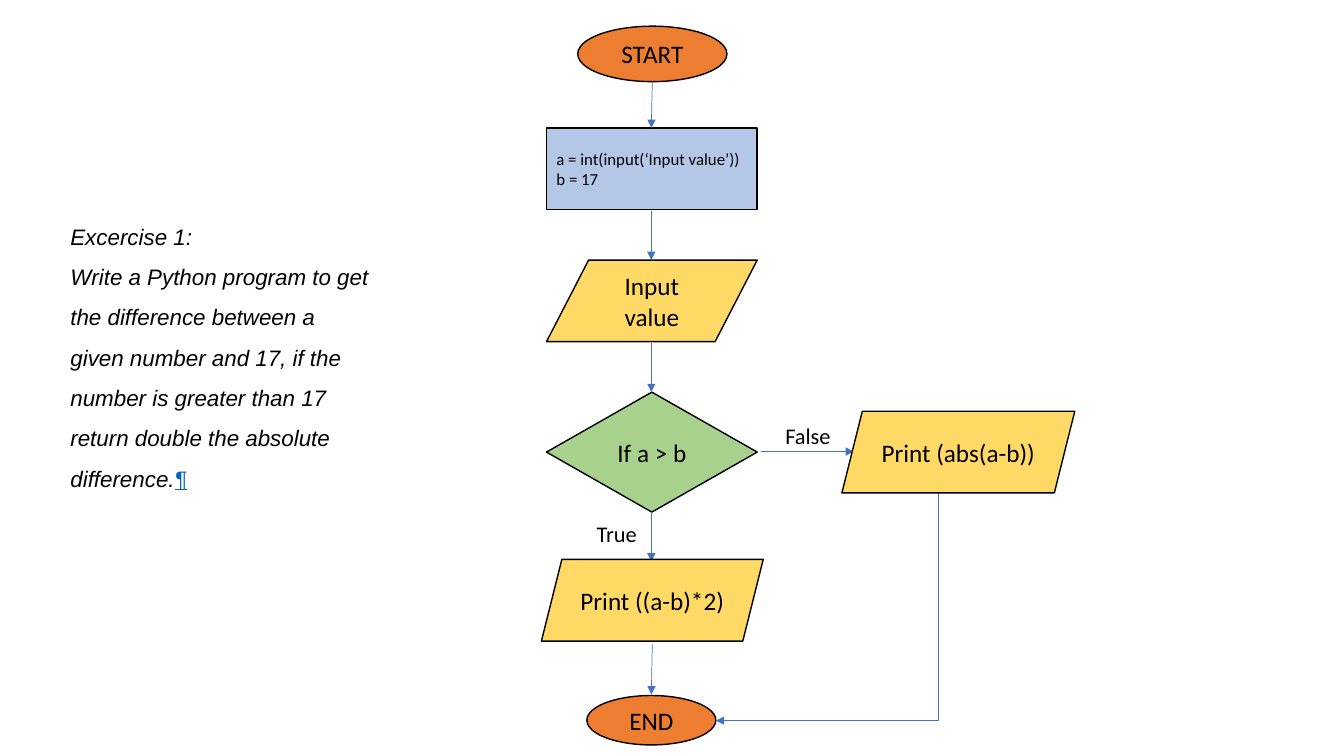
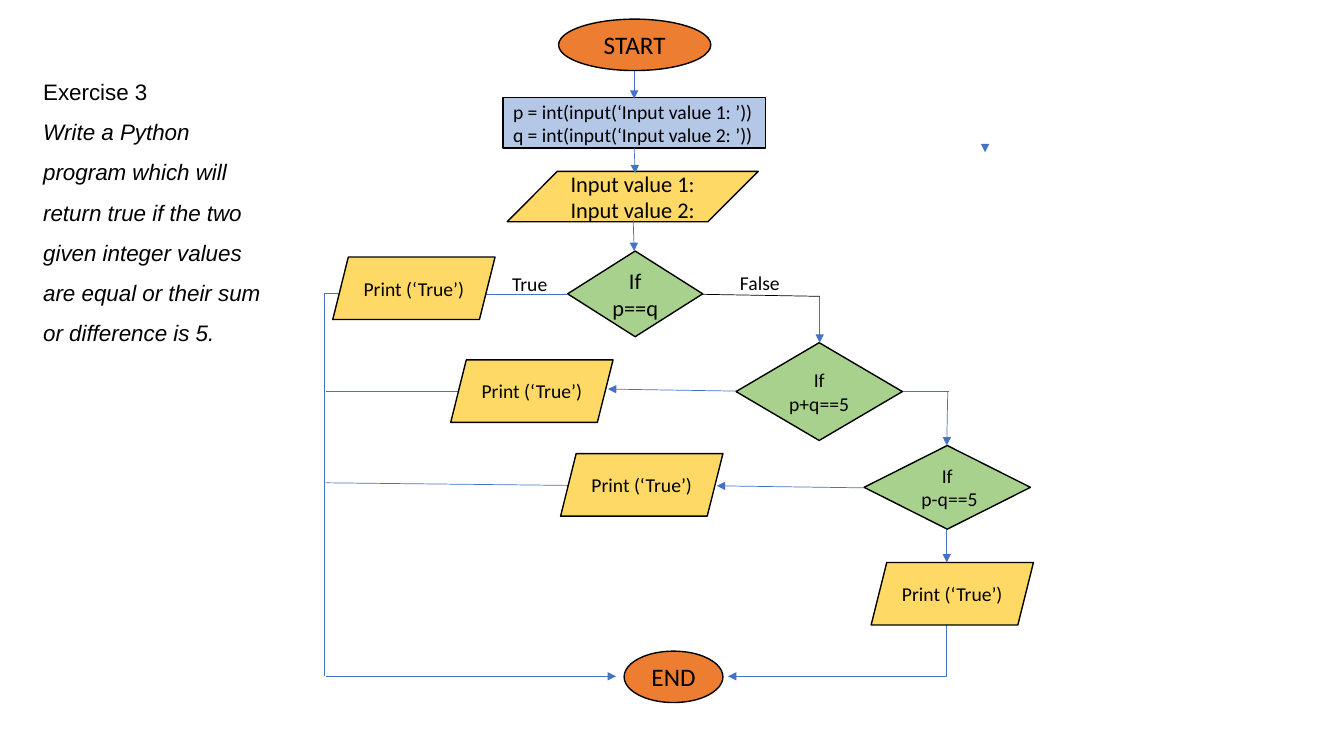
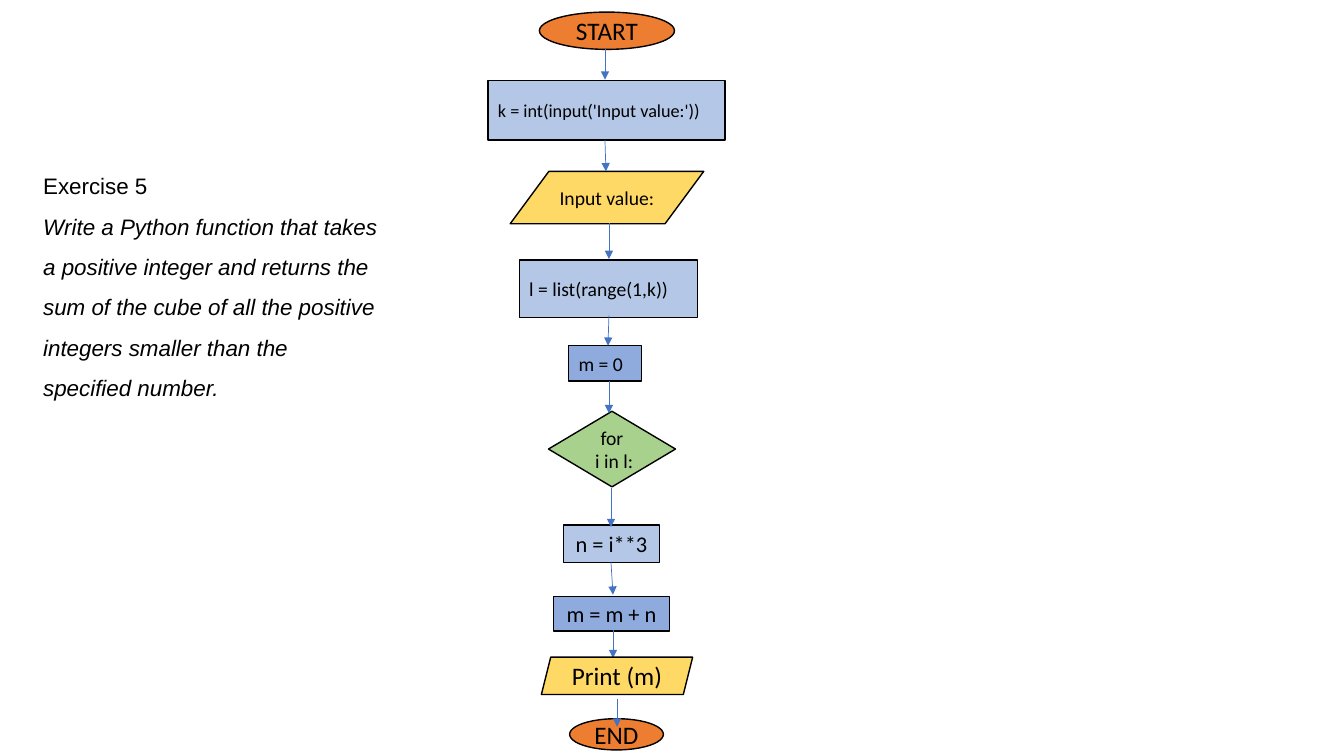
from lxml.etree import SubElement
from pptx import Presentation
from pptx.dml.color import RGBColor
from pptx.enum.shapes import MSO_CONNECTOR, MSO_SHAPE
from pptx.enum.text import MSO_ANCHOR, MSO_AUTO_SIZE, PP_ALIGN
from pptx.oxml.ns import qn
from pptx.util import Inches, Pt

COLORS = {
    "ink": "000000", "arrow": "4472C4", "mark": "0563C1",
    "end": "ED7D31", "code": "B4C7E7", "sum": "8FAADC",
    "data": "FFD966", "test": "A9D18E",
}
# Kind of step: preset shape and fill
KINDS = {
    "end": (MSO_SHAPE.OVAL, "end"),
    "code": (MSO_SHAPE.RECTANGLE, "code"),
    "sum": (MSO_SHAPE.RECTANGLE, "sum"),
    "input": (MSO_SHAPE.FLOWCHART_DATA, "data"),
    "print": (MSO_SHAPE.PARALLELOGRAM, "data"),
    "test": (MSO_SHAPE.DIAMOND, "test"),
}


def rgb(name):
    return RGBColor.from_string(COLORS[name])


def style(para, size, font="Calibri"):
    para.font.name = font
    para.font.size = Pt(size)
    para.font.color.rgb = rgb("ink")


def add_step(slide, box, kind, text, x, y, w, h, size, align=PP_ALIGN.CENTER):
    """One flowchart step, placed from the corner of the box."""
    preset, fill = KINDS[kind]
    step = slide.shapes.add_shape(
        preset, Inches(box[0] + x), Inches(box[1] + y), Inches(w), Inches(h))
    step.shadow.inherit = False
    step.fill.solid()
    step.fill.fore_color.rgb = rgb(fill)
    step.line.color.rgb = rgb("ink")
    step.line.width = Pt(1)
    frame = step.text_frame
    frame.word_wrap = True
    frame.vertical_anchor = MSO_ANCHOR.MIDDLE
    frame.text = text
    for para in frame.paragraphs:
        para.alignment = align
        style(para, size)


def add_link(slide, box, points, head=True, color="arrow"):
    """A straight line, or a bent one when there are more than two points."""
    points = [(Inches(box[0] + x), Inches(box[1] + y)) for x, y in points]
    if len(points) == 2:
        link = slide.shapes.add_connector(
            MSO_CONNECTOR.STRAIGHT, *points[0], *points[1])
    else:
        path = slide.shapes.build_freeform(*points[0], scale=1.0)
        path.add_line_segments(points[1:], close=False)
        link = path.convert_to_shape()
        link.fill.background()
    link.line.color.rgb = rgb(color)
    link.line.width = Pt(0.5)
    props = link._element.spPr
    if head:
        SubElement(props.find(qn("a:ln")), qn("a:tailEnd"), type="triangle")
    SubElement(props, qn("a:effectLst"))


def add_text(slide, x, y, w, h):
    label = slide.shapes.add_textbox(Inches(x), Inches(y), Inches(w), Inches(h))
    frame = label.text_frame
    frame.word_wrap = True
    frame.auto_size = MSO_AUTO_SIZE.SHAPE_TO_FIT_TEXT
    return frame


def add_label(slide, box, text, x, y, w, h, size):
    frame = add_text(slide, box[0] + x, box[1] + y, w, h)
    frame.text = text
    style(frame.paragraphs[0], size)


def add_task(slide, box, head, text, slant=False):
    """The exercise text on the left."""
    frame = add_text(slide, *box)
    frame.text = head + "\n" + text
    for para, italic in zip(frame.paragraphs, (slant, True)):
        para.line_spacing = 1.5
        style(para, 16, "Arial")
        para.font.italic = italic
    return frame


def flow_double(slide, box):
    """Difference from 17, with one test."""
    for step in (
        ("end", "START", 0.73, 0.26, 1.48, 0.55, 18),
        ("code", "a = int(input(‘Input value’))\nb = 17",
         0.42, 1.27, 2.09, 0.81, 12, PP_ALIGN.LEFT),
        ("input", "Input value", 0.42, 2.58, 2.09, 0.81, 18),
        ("test", "If a > b", 0.42, 3.89, 2.09, 1.19, 18),
        ("end", "END", 0.82, 6.9, 1.28, 0.49, 18),
    ):
        add_step(slide, box, *step)
    # Arrows down the main column
    for x, top, low in ((1.47, 0.81, 1.27), (1.46, 2.09, 2.58),
                        (1.46, 3.4, 3.89), (1.46, 5.08, 5.57),
                        (1.47, 6.39, 6.89)):
        add_link(slide, box, [(x, top), (1.46, low)])
    # False branch
    add_link(slide, box, [(2.55, 4.48), (3.47, 4.48)])
    add_link(slide, box, [(4.31, 4.89), (4.31, 7.15), (2.1, 7.15)])
    add_label(slide, box, "False", 2.69, 4.14, 0.76, 0.37, 16)
    add_label(slide, box, "True", 0.82, 5.11, 0.72, 0.37, 16)
    add_step(slide, box, "print", "Print (abs(a-b))", 3.35, 4.08, 2.31, 0.81, 18)
    add_step(slide, box, "print", "Print ((a-b)*2)", 0.37, 5.55, 2.2, 0.81, 18)


def flow_five(slide, box):
    """Equal, or sum or difference of five, with three tests."""
    for step in (
        ("end", "START", 2.54, 0.19, 1.51, 0.51, 18),
        ("code", "p = int(input(‘Input value 1: ’))\n"
         "q = int(input(‘Input value 2: ’))",
         1.99, 0.97, 2.6, 0.5, 14, PP_ALIGN.LEFT),
        ("input", "Input value 1:\nInput value 2:", 2.03, 1.7, 2.49, 0.5, 16),
        ("test", "If p==q", 2.63, 2.49, 1.34, 0.85, 16),
        ("test", "If p+q==5", 4.3, 3.4, 1.65, 0.97, 14),
        ("test", "If\n p-q==5", 5.57, 4.42, 1.65, 0.83, 14),
        ("end", "END", 3.19, 6.46, 0.98, 0.51, 18),
    ):
        add_step(slide, box, *step)
    # Arrows
    for points in (
        [(3.29, 0.7), (3.29, 0.98)],
        [(3.29, 1.47), (3.3, 1.72)],
        [(3.28, 2.18), (3.29, 2.49)],
        [(5.13, 2.94), (5.13, 3.4)],
        [(6.4, 3.88), (6.39, 4.42)],
        [(6.39, 5.26), (6.39, 5.58)],
        [(4.3, 3.88), (3.03, 3.86)],
        [(5.57, 4.84), (4.11, 4.82)],
        [(6.77, 1.47), (6.77, 1.51)],
        [(6.39, 6.08), (6.39, 6.71), (4.22, 6.71)],
        [(0.23, 6.71), (3.11, 6.71)],
    ):
        add_link(slide, box, points)
    # Plain lines
    for points in (
        [(5.96, 3.88), (6.41, 3.88)],
        [(2.63, 2.92), (1.54, 2.92)],
        [(1.94, 3.88), (0.23, 3.88)],
        [(3.02, 4.82), (0.23, 4.79)],
        [(0.44, 2.91), (0.22, 2.91), (0.22, 6.71)],
    ):
        add_link(slide, box, points, head=False)
    add_link(slide, box, [(3.96, 2.92), (5.13, 2.94)], head=False, color="ink")
    add_label(slide, box, "False", 4.24, 2.64, 0.84, 0.34, 14)
    add_label(slide, box, "True", 1.98, 2.65, 0.62, 0.34, 14)
    # Results
    for x, y in ((0.3, 2.55), (1.47, 3.57), (2.56, 4.5), (5.64, 5.58)):
        add_step(slide, box, "print", "Print (‘True’)", x, y, 1.61, 0.62, 14)


def flow_cubes(slide, box):
    """Sum of cubes, in one column."""
    left = PP_ALIGN.LEFT
    for step in (
        ("end", "START", 0.35, 0.12, 1.34, 0.37, 18),
        ("code", "k = int(input('Input value:'))",
         -0.16, 0.8, 2.35, 0.59, 13, left),
        ("input", "Input value:", 0.06, 1.7, 1.92, 0.52, 14),
        ("code", "l = list(range(1,k))", 0.15, 2.58, 1.77, 0.57, 14, left),
        ("sum", "m = 0", 0.64, 3.43, 0.72, 0.35, 14, left),
        ("test", "for\n i in l:", 0.44, 4.08, 1.26, 0.75, 14),
        ("code", "n = i**3", 0.59, 5.21, 0.95, 0.37, 16),
        ("sum", "m = m + n", 0.49, 5.92, 1.15, 0.34, 16),
        ("end", "END", 0.65, 7.13, 0.93, 0.31, 18),
    ):
        add_step(slide, box, *step)
    for x, top, end, low in (
        (1, 0.49, 1, 0.79), (1, 1.39, 1.01, 1.7), (1.04, 2.21, 1.04, 2.57),
        (1.04, 3.13, 1.03, 3.43), (1.04, 3.78, 1.04, 4.1),
        (1.06, 4.84, 1.06, 5.23), (1.06, 5.58, 1.08, 5.9),
        (1.08, 6.25, 1.08, 6.53), (1.12, 6.93, 1.12, 7.21),
    ):
        add_link(slide, box, [(x, top), (end, low)])
    add_step(slide, box, "print", "Print (m)", 0.37, 6.52, 1.5, 0.37, 18)


deck = Presentation()
deck.slide_width = Inches(13.33)
deck.slide_height = Inches(7.5)
blank = deck.slide_layouts[6]

# Exercise 1
slide = deck.slides.add_slide(blank)
flow_double(slide, (5, 0))
task = add_task(
    slide, (0.6, 2.03, 3.2, 3.23), "Excercise 1:",
    "Write a Python program to get the difference between a given number "
    "and 17, if the number is greater than 17 return double the absolute "
    "difference.", slant=True)
mark = task.paragraphs[1].add_run()
mark.text = "¶"
mark.font.underline = True
mark.font.color.rgb = rgb("mark")

# Exercise 3
slide = deck.slides.add_slide(blank)
flow_five(slide, (3, 0))
add_task(
    slide, (0.33, 0.59, 2.46, 3.23), "Exercise 3",
    "Write a Python program which will return true if the two given integer "
    "values are equal or their sum or difference is 5.")

# Exercise 5
slide = deck.slides.add_slide(blank)
flow_cubes(slide, (5, 0))
add_task(
    slide, (0.33, 1.53, 3.56, 2.83), "Exercise 5",
    "Write a Python function that takes a positive integer and returns the "
    "sum of the cube of all the positive integers smaller than the "
    "specified number.")

deck.save("out.pptx")
